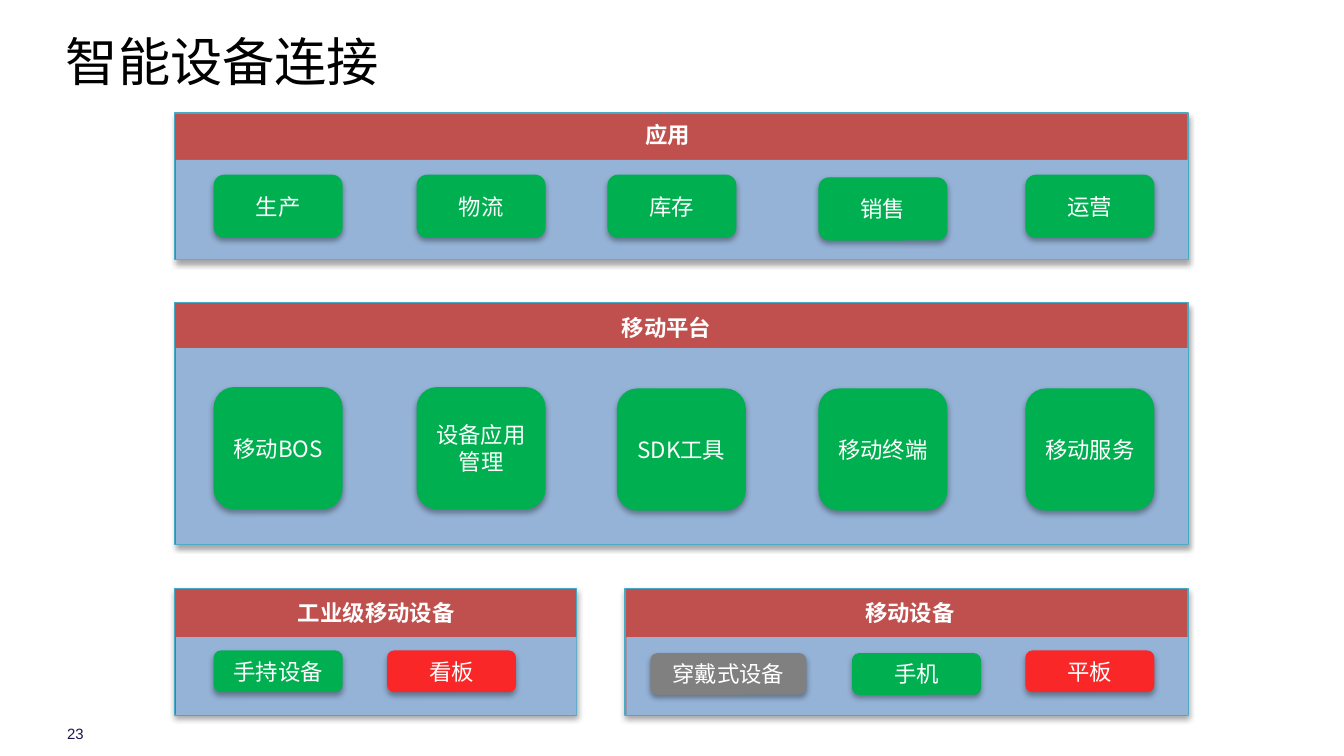
from lxml import etree
from pptx import Presentation
from pptx.dml.color import RGBColor
from pptx.enum.shapes import MSO_SHAPE
from pptx.enum.text import MSO_ANCHOR, PP_ALIGN
from pptx.oxml import parse_xml
from pptx.oxml.ns import nsdecls, qn
from pptx.util import Inches, Pt

WHITE = RGBColor(0xFF, 0xFF, 0xFF)
BLACK = RGBColor(0, 0, 0)
NAVY = RGBColor(0x1A, 0x15, 0x4C)
BRICK = RGBColor(0xC0, 0x50, 0x4D)
SKY = RGBColor(0x95, 0xB3, 0xD7)
TEAL = RGBColor(0x46, 0xAA, 0xC5)
GREEN = RGBColor(0, 0xB0, 0x50)
RED = RGBColor(0xF9, 0x27, 0x27)
GRAY = RGBColor(0x80, 0x80, 0x80)

CJK = "Noto Sans CJK SC"
SLIDE_WIDTH = Inches(10)
SLIDE_HEIGHT = SLIDE_WIDTH * 9 // 16
TILE_WIDTH = 0.96
WIDE_TILE = 1.16
HEADING_HEIGHT = 0.3
EDGE = 0.01
COLUMNS = (1.59, 3.1, 4.59, 6.09, 7.63)

TITLE = "智能设备连接"
PAGE = "23"
PANELS = [
    {"heading": "应用", "center": 4.97, "heading_top": 0.85,
     "box": (1.3, 0.84, 7.54, 1.09), "band": 0.35, "tile_height": 0.47,
     "tiles": [("生产", COLUMNS[0], 1.3, GREEN), ("物流", COLUMNS[1], 1.3, GREEN),
               ("库存", 4.52, 1.3, GREEN), ("销售", COLUMNS[3], 1.32, GREEN),
               ("运营", COLUMNS[4], 1.3, GREEN)]},
    {"heading": "移动平台", "center": 4.96, "heading_top": 2.29,
     "box": (1.3, 2.25, 7.54, 1.8), "band": 0.34, "tile_height": 0.91,
     "tiles": [("移动BOS", COLUMNS[0], 2.88, GREEN), ("设备应用管理", COLUMNS[1], 2.88, GREEN),
               ("SDK工具", COLUMNS[2], 2.89, GREEN), ("移动终端", COLUMNS[3], 2.89, GREEN),
               ("移动服务", COLUMNS[4], 2.89, GREEN)]},
    {"heading": "工业级移动设备", "center": 2.8, "heading_top": 4.41,
     "box": (1.3, 4.38, 2.99, 0.94), "band": 0.36, "tile_height": 0.31,
     "tiles": [("手持设备", COLUMNS[0], 4.84, GREEN), ("看板", 2.88, 4.84, RED)]},
    {"heading": "移动设备", "center": 6.77, "heading_top": 4.41,
     "box": (4.65, 4.38, 4.19, 0.94), "band": 0.36, "tile_height": 0.31,
     "tiles": [("穿戴式设备", 4.84, 4.86, GRAY), ("手机", 6.34, 4.86, GREEN),
               ("平板", COLUMNS[4], 4.84, RED)]},
]


def write(frame, text, size, color, font=CJK, bold=False, align=PP_ALIGN.LEFT):
    frame.text = text
    paragraph = frame.paragraphs[0]
    paragraph.alignment = align
    for run in paragraph.runs:
        run.font.size = Pt(size)
        run.font.bold = bold
        run.font.name = font
        run.font.color.rgb = color
        etree.SubElement(run.font._element, qn("a:ea")).set("typeface", font)


def add_label(slide, box, text, size, color, inset=True, wrap=True,
              anchor=MSO_ANCHOR.TOP, **style):
    frame = slide.shapes.add_textbox(*map(Inches, box)).text_frame
    frame.word_wrap = wrap
    frame.vertical_anchor = anchor
    if not inset:
        frame.margin_left = frame.margin_right = 0
        frame.margin_top = frame.margin_bottom = 0
    write(frame, text, size, color, **style)


def add_block(slide, kind, box, fill, border=None, shadow=True):
    block = slide.shapes.add_shape(kind, *map(Inches, box))
    block.shadow.inherit = False
    block.fill.solid()
    block.fill.fore_color.rgb = fill
    if border is None:
        block.line.fill.background()
    else:
        block.line.color.rgb = border
        block.line.width = Pt(0.75)
    if shadow:
        effects = block._element.spPr.find(qn("a:effectLst"))
        effects.append(parse_xml(
            f'<a:outerShdw {nsdecls("a")} blurRad="{Pt(3.1)}" dist="{Pt(1.8)}" '
            'dir="5400000" rotWithShape="0"><a:srgbClr val="000000">'
            '<a:alpha val="35000"/></a:srgbClr></a:outerShdw>'))
    return block


def add_panel(slide, panel):
    left, top, width, height = panel["box"]
    band = panel["band"]
    add_block(slide, MSO_SHAPE.RECTANGLE, panel["box"], BRICK, TEAL)
    add_block(slide, MSO_SHAPE.RECTANGLE,
              (left + EDGE, top + band, width - EDGE, height - band), SKY, shadow=False)

    heading_width = 0.2 + len(panel["heading"]) * 12 / 72
    add_label(slide, (panel["center"] - heading_width / 2, panel["heading_top"],
                      heading_width, HEADING_HEIGHT),
              panel["heading"], 12, WHITE, wrap=False, bold=True, align=PP_ALIGN.CENTER)

    for name, tile_left, tile_top, color in panel["tiles"]:
        tile_width = WIDE_TILE if color == GRAY else TILE_WIDTH
        tile = add_block(slide, MSO_SHAPE.ROUNDED_RECTANGLE,
                         (tile_left, tile_top, tile_width, panel["tile_height"]), color)
        tile.text_frame.vertical_anchor = MSO_ANCHOR.MIDDLE
        write(tile.text_frame, name, 12, WHITE, align=PP_ALIGN.CENTER)


def main():
    deck = Presentation()
    deck.slide_width, deck.slide_height = SLIDE_WIDTH, SLIDE_HEIGHT
    slide = deck.slides.add_slide(deck.slide_layouts[6])
    add_label(slide, (0.5, 5.39, 0.25, 0.14), PAGE, 8, NAVY, inset=False,
              anchor=MSO_ANCHOR.MIDDLE, font="Arial")
    add_label(slide, (0.49, 0.22, 9.19, 0.57), TITLE, 28, BLACK, inset=False)
    for panel in PANELS:
        add_panel(slide, panel)
    deck.save("out.pptx")


if __name__ == "__main__":
    main()
